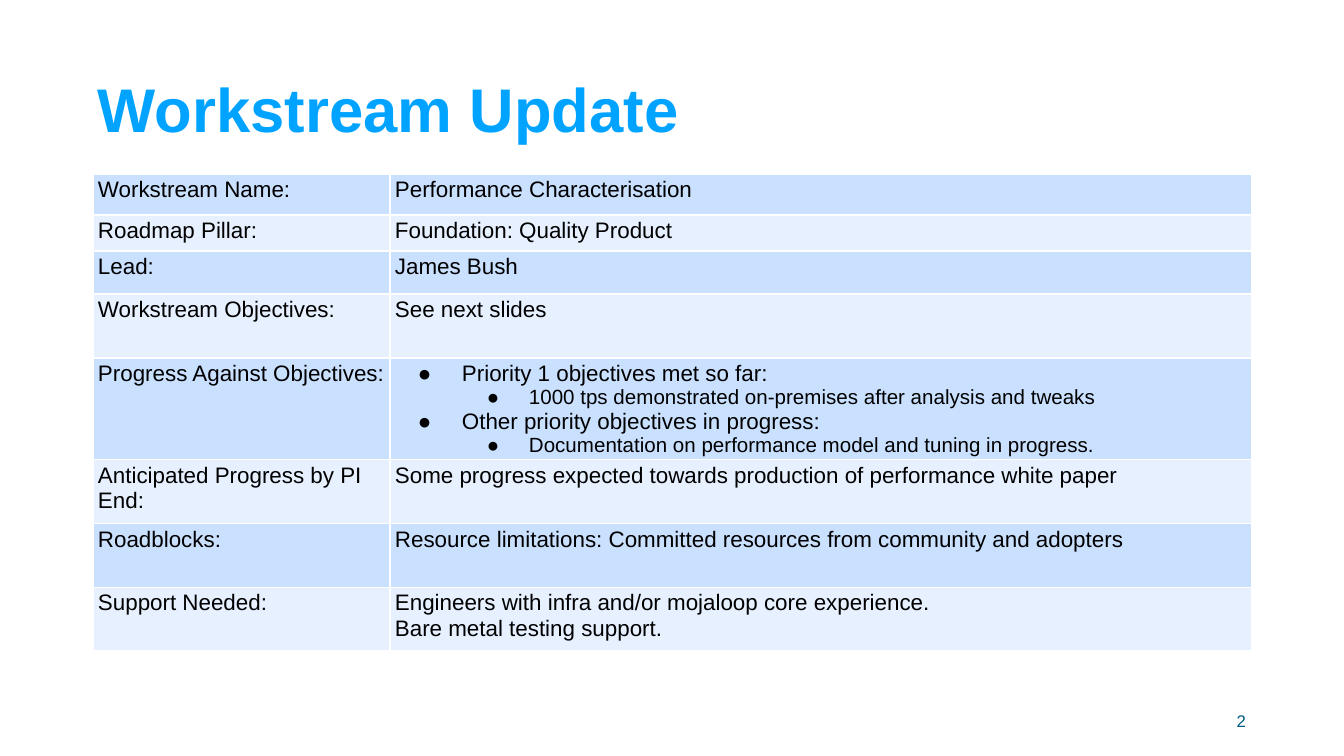
"""Build the workstream update slide: a title, a two-column table and a page number."""
from lxml import etree
from pptx import Presentation
from pptx.dml.color import RGBColor
from pptx.enum.text import MSO_ANCHOR, MSO_AUTO_SIZE, PP_ALIGN
from pptx.oxml.ns import qn
from pptx.util import Emu, Pt

MIDDLE = MSO_ANCHOR.MIDDLE
NONE = MSO_AUTO_SIZE.NONE
LEFT, RIGHT = PP_ALIGN.LEFT, PP_ALIGN.RIGHT

TITLE = "Workstream Update"
PAGE = "2"
ROWS = [
    (41, "Workstream Name:", ["Performance Characterisation"]),
    (36, "Roadmap Pillar:", ["Foundation: Quality Product"]),
    (43, "Lead:", ["James Bush"]),
    (64, "Workstream Objectives:", ["See next slides"]),
    (100, "Progress Against Objectives:", [
        (0, "Priority 1 objectives met so far:"),
        (1, "1000 tps demonstrated on-premises after analysis and tweaks"),
        (0, "Other priority objectives in progress:"),
        (1, "Documentation on performance model and tuning in progress."),
    ]),
    (64, "Anticipated Progress by PI End:",
     ["Some progress expected towards production of performance white paper"]),
    (64, "Roadblocks:",
     ["Resource limitations: Committed resources from community and adopters"]),
    (63, "Support Needed:",
     ["Engineers with infra and/or mojaloop core experience.", "Bare metal testing support."]),
]
COLS = (297, 862)
BANDS = ("CAE0FF", "E6F0FF")
LEVELS = [(67, -44, 12), (134, -42, 11)]
FONT = "Arial"
BLACK, WHITE, BLUE, NAVY = "000000", "FFFFFF", "00A3FF", "005A83"
SCALE = 914400 / 134.4


def px(count):
    return Emu(round(count * SCALE))


def color(code):
    return RGBColor.from_string(code)


def inset(box):
    box.margin_left = box.margin_right = px(5)
    box.margin_top = box.margin_bottom = px(3)


def style(para, size, code, bold=False):
    font = para.font
    font.name, font.size, font.bold = FONT, Pt(size), bold
    font.color.rgb = color(code)


def bullet(para, level):
    left, indent, size = LEVELS[level]
    para.level = level
    props = para._p.get_or_add_pPr()
    props.set("marL", str(px(left)))
    props.set("indent", str(px(indent)))
    tint = etree.SubElement(props, qn("a:buClr"))
    etree.SubElement(tint, qn("a:srgbClr"), val=BLACK)
    etree.SubElement(props, qn("a:buFont"), typeface=FONT)
    etree.SubElement(props, qn("a:buChar"), char="●")
    return size


def border(cell):
    props = cell._tc.get_or_add_tcPr()
    for side in ("lnL", "lnR", "lnT", "lnB"):
        line = etree.SubElement(props, qn("a:" + side), w=str(Pt(1)))
        fill = etree.SubElement(line, qn("a:solidFill"))
        etree.SubElement(fill, qn("a:srgbClr"), val=WHITE)


def fill_cell(cell, items, band):
    inset(cell)
    border(cell)
    cell.fill.solid()
    cell.fill.fore_color.rgb = color(band)
    frame = cell.text_frame
    for i, item in enumerate(items):
        para = frame.add_paragraph() if i else frame.paragraphs[0]
        size = 12
        if isinstance(item, tuple):
            level, item = item
            size = bullet(para, level)
        para.text = item
        style(para, size, BLACK)


def add_title(slide):
    title = slide.shapes.title
    title.left, title.top, title.width, title.height = map(px, (93, 40, 1040, 146))
    frame = title.text_frame
    frame.text = TITLE
    frame.auto_size, frame.vertical_anchor = NONE, MIDDLE
    inset(frame)
    para = frame.paragraphs[0]
    para.alignment, para.line_spacing = LEFT, 0.9
    style(para, 33, BLUE, True)


def add_grid(slide):
    high = sum(row[0] for row in ROWS)
    place = map(px, (93, 174, sum(COLS), high))
    table = slide.shapes.add_table(len(ROWS), len(COLS), *place).table
    table.first_row = table.horz_banding = False
    for col, width in zip(table.columns, COLS):
        col.width = px(width)
    for i, (height, label, items) in enumerate(ROWS):
        table.rows[i].height = px(height)
        band = BANDS[i % 2]
        fill_cell(table.cell(i, 0), [label], band)
        fill_cell(table.cell(i, 1), items, band)


def add_page(slide):
    frame = slide.shapes.add_textbox(*map(px, (949, 700, 302, 41))).text_frame
    frame.text = PAGE
    frame.word_wrap, frame.vertical_anchor = True, MIDDLE
    inset(frame)
    para = frame.paragraphs[0]
    para.alignment = RIGHT
    style(para, 9, NAVY)


def main():
    deck = Presentation()
    deck.slide_width, deck.slide_height = px(1344), px(756)
    slide = deck.slides.add_slide(deck.slide_layouts[5])
    add_title(slide)
    add_grid(slide)
    add_page(slide)
    deck.save("out.pptx")


if __name__ == "__main__":
    main()
